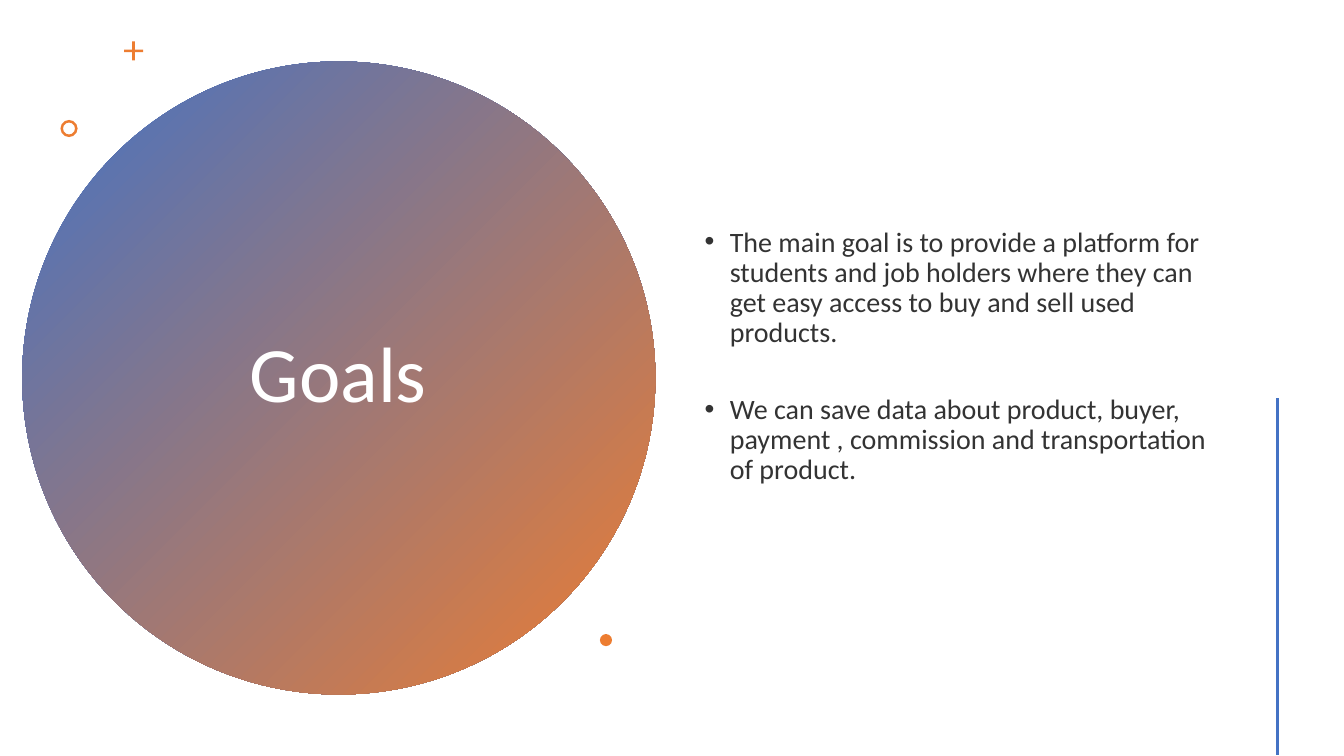
from dataclasses import dataclass

from lxml import etree
from pptx import Presentation
from pptx.dml.color import RGBColor
from pptx.enum.shapes import MSO_CONNECTOR, MSO_SHAPE as Shape
from pptx.enum.text import MSO_ANCHOR as Anchor, PP_ALIGN as Align
from pptx.oxml.ns import qn
from pptx.util import Inches, Pt


@dataclass(frozen=True)
class Theme:
    """Colours, font and type sizes of the slide."""
    blue: RGBColor = RGBColor(0x44, 0x72, 0xC4)
    orange: RGBColor = RGBColor(0xED, 0x7D, 0x31)
    white: RGBColor = RGBColor(0xFF, 0xFF, 0xFF)
    ink: RGBColor = RGBColor(0x33, 0x33, 0x33)
    font: str = "Calibri"
    title_size: int = 56
    body_size: int = 20


THEME = Theme()
GOALS = (
    "The main goal is to provide a platform for students and job holders "
    "where they can get easy access to buy and sell used products.",
    "We can save data about product, buyer, payment , commission and "
    "transportation of product.",
)


def add_plain_shape(slide, kind, box):
    """Add a preset shape without line or shadow."""
    shape = slide.shapes.add_shape(kind, *map(Inches, box))
    shape.shadow.inherit = False
    shape.line.fill.background()
    return shape


def add_text_frame(slide, box):
    """Add a wrapping, vertically centred text box and return its frame."""
    frame = slide.shapes.add_textbox(*map(Inches, box)).text_frame
    frame.word_wrap = True
    frame.vertical_anchor = Anchor.MIDDLE
    return frame


def add_run(paragraph, text, size, colour):
    """Add one styled run to a paragraph with tight line spacing."""
    paragraph.line_spacing = 0.9
    run = paragraph.add_run()
    run.text = text
    run.font.name = THEME.font
    run.font.size = Pt(size)
    run.font.color.rgb = colour


def add_bullet(paragraph):
    """Give a paragraph a round bullet with a hanging indent."""
    properties = paragraph._p.get_or_add_pPr()
    properties.set("marL", str(Inches(0.25)))
    properties.set("indent", str(-Inches(0.25)))
    etree.SubElement(properties, qn("a:buFont")).set("typeface", "Arial")
    etree.SubElement(properties, qn("a:buChar")).set("char", "•")


def add_title_disc(slide, box):
    """Draw the gradient disc with the title and its small ornaments."""
    left, top, width, height = box
    disc = add_plain_shape(slide, Shape.OVAL, box)
    disc.fill.gradient()
    disc.fill.gradient_angle = 315
    for stop, colour, position in zip(
            disc.fill.gradient_stops, (THEME.blue, THEME.orange), (0, 1)):
        stop.color.rgb = colour
        stop.position = position

    title_box = (left + 1.14, top + 0.8, width - 2.29, height - 1.61)
    title = add_text_frame(slide, title_box).paragraphs[0]
    title.alignment = Align.CENTER
    add_run(title, "Goals", THEME.title_size, THEME.white)

    ornaments = (
        (Shape.CROSS, 1.01, -0.2, 0.19, 0.43),
        (Shape.DONUT, 0.38, 0.58, 0.17, 0.15),
        (Shape.OVAL, 5.73, 5.68, 0.12, None),
    )
    for kind, dx, dy, size, adjustment in ornaments:
        ornament = add_plain_shape(slide, kind, (left + dx, top + dy, size, size))
        ornament.fill.solid()
        ornament.fill.fore_color.rgb = THEME.orange
        if adjustment is not None:
            ornament.adjustments[0] = adjustment


def add_goal_list(slide, box):
    """Write the goals as bullets, set slightly above the middle of the box."""
    frame = add_text_frame(slide, box)
    frame.margin_bottom = Inches(0.49)
    for index, goal in enumerate(GOALS):
        paragraph = frame.add_paragraph() if index else frame.paragraphs[0]
        paragraph.space_before = Pt(33 if index else 10)
        add_run(paragraph, goal, THEME.body_size, THEME.ink)
        add_bullet(paragraph)


def add_side_rule(slide, box):
    """Draw the vertical rule along the left side of the box."""
    left, top, _, height = map(Inches, box)
    rule = slide.shapes.add_connector(
        MSO_CONNECTOR.STRAIGHT, left, top, left, top + height)
    rule.line.color.rgb = THEME.blue
    rule.line.width = Pt(2)
    etree.SubElement(rule._element.spPr, qn("a:effectLst"))


def main():
    """Build the slide and save it."""
    deck = Presentation()
    deck.slide_width, deck.slide_height = Inches(13.33), Inches(7.5)
    slide = deck.slides.add_slide(deck.slide_layouts[6])
    add_title_disc(slide, (0.22, 0.61, 6.28, 6.28))
    add_goal_list(slide, (6.89, 0.57, 5.22, 6.38))
    add_side_rule(slide, (12.67, 3.95, 0, 3.54))
    deck.save("out.pptx")


if __name__ == "__main__":
    main()
